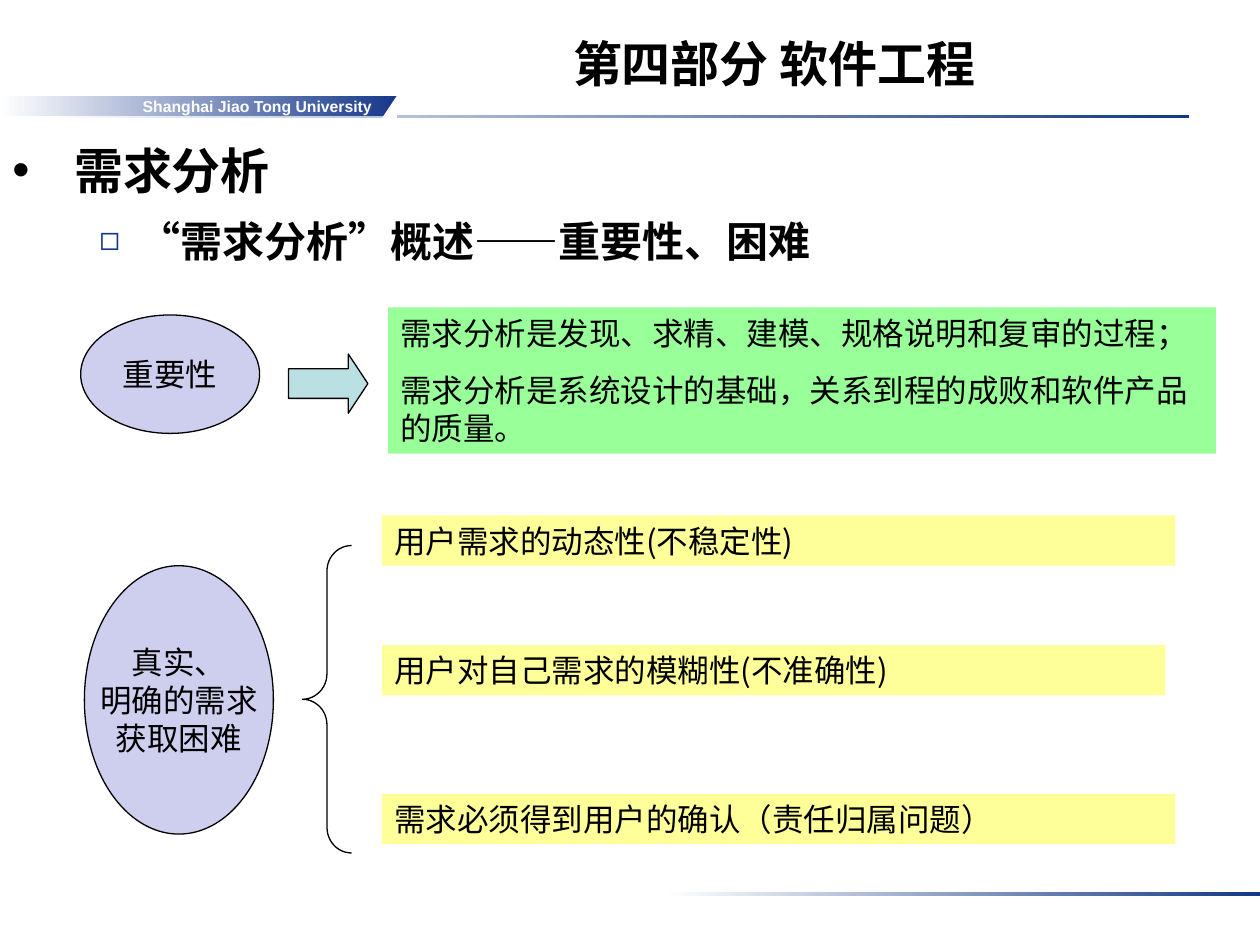
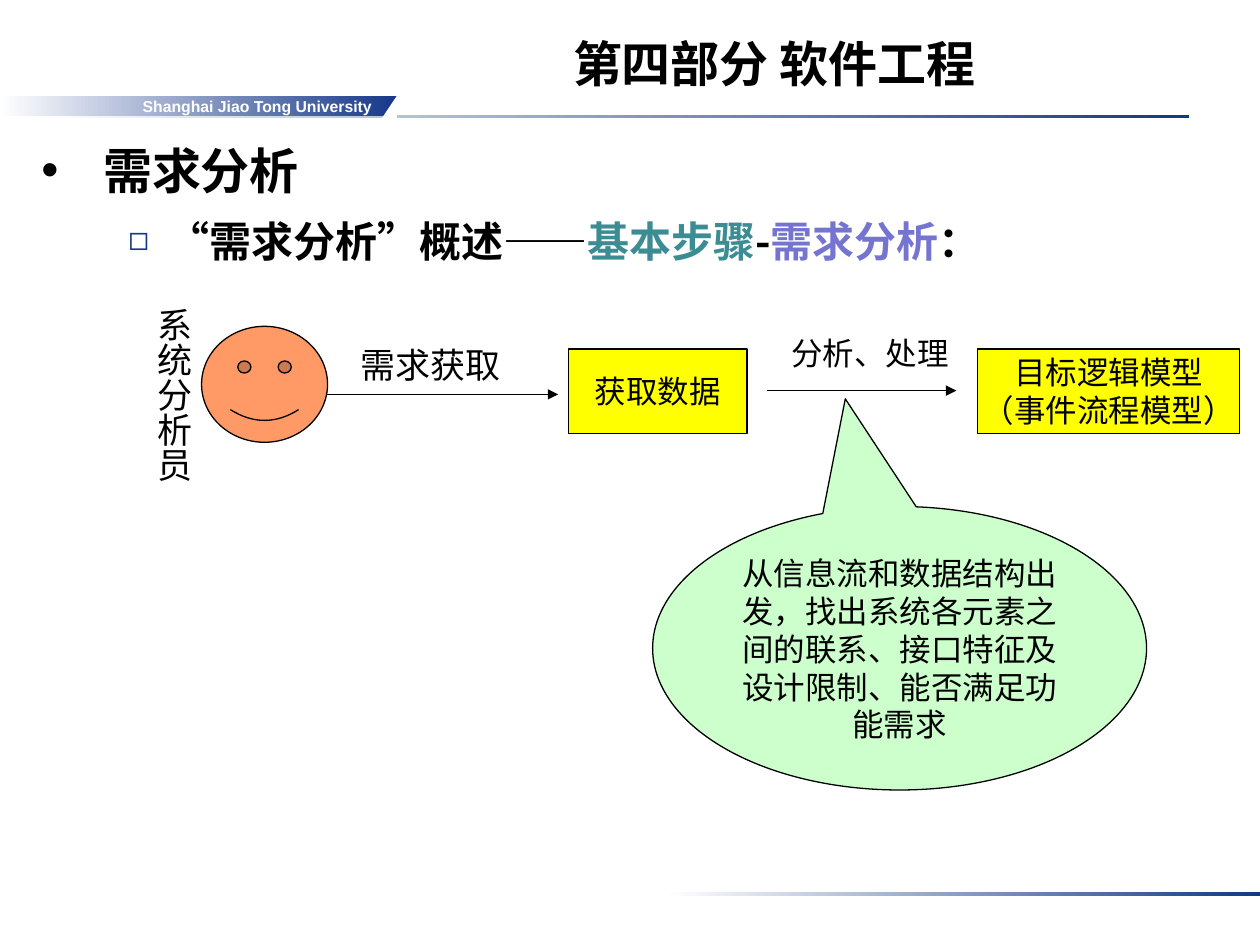
import collections

import pptx
import pptx.dml.color
import pptx.enum.shapes
import pptx.enum.text
import pptx.oxml
import pptx.oxml.ns
import pptx.util

SHAPE = pptx.enum.shapes.MSO_SHAPE
ALIGN = pptx.enum.text.PP_ALIGN
ANCHOR = pptx.enum.text.MSO_ANCHOR
Box = collections.namedtuple("Box", "left top width height")

COLUMNS, ROWS = 100, 75
SLIDE_WIDTH, SLIDE_HEIGHT = pptx.util.Inches(10), pptx.util.Inches(7.5)
BLACK, WHITE, NAVY, ROYAL = "000000", "FFFFFF", "133984", "16388A"
LAVENDER, GREEN, MINT = "CECEEF", "99FF99", "CCFFCC"
YELLOW, PALE_YELLOW, ORANGE, AQUA = "FFFF00", "FFFF99", "FF9966", "BBE0E3"
TEAL, VIOLET = "3C8C93", "7575D1"
LATIN, CHINESE = "Arial", "Noto Sans CJK SC"
LINE_HEIGHT = 1.2


def color(value):
    """Turn a hex string into a colour."""
    return pptx.dml.color.RGBColor.from_string(value)


def across(columns):
    """Convert grid columns to a length."""
    return round(columns * SLIDE_WIDTH / COLUMNS)


def down(rows):
    """Convert grid rows to a length."""
    return round(rows * SLIDE_HEIGHT / ROWS)


def part(region, left, top, width, height):
    """Return a box placed relative to a region."""
    return Box(region.left + left, region.top + top, width, height)


def place(box):
    """Convert a grid box to slide lengths."""
    return across(box.left), down(box.top), across(box.width), down(box.height)


def add_child(parent, tag, **attributes):
    """Append a drawing element with its attributes."""
    child = pptx.oxml.parse_xml(f"<a:{tag} {pptx.oxml.ns.nsdecls('a')}/>")
    for name, value in attributes.items():
        child.set(name, str(value))
    parent.append(child)
    return child


def set_bullet(para, symbol, hue, share, margin, indent):
    """Give a paragraph a hanging bullet."""
    props = para._p.get_or_add_pPr()
    props.set("marL", str(across(margin)))
    props.set("indent", str(-across(indent)))
    add_child(add_child(props, "buClr"), "srgbClr", val=hue)
    add_child(props, "buSzPct", val=share * 1000)
    add_child(props, "buFont", typeface=LATIN)
    add_child(props, "buChar", char=symbol)


def write(frame, text, size=18, font=LATIN, hue=BLACK, bold=False,
          align=ALIGN.LEFT, before=0, spacing=LINE_HEIGHT, bullet=None):
    """Add a paragraph given as a string or as pairs of text and colour."""
    used = frame.paragraphs[0].runs
    para = frame.add_paragraph() if used else frame.paragraphs[0]
    if bullet:
        set_bullet(para, *bullet)
    para.alignment = align
    para.line_spacing = pptx.util.Pt(round(size * spacing, 1))
    para.space_before = pptx.util.Pt(before if used else 0)
    for words, tint in [(text, hue)] if isinstance(text, str) else text:
        span = para.add_run()
        span.text = words
        span.font.name, span.font.size = font, pptx.util.Pt(size)
        span.font.bold, span.font.color.rgb = bold, color(tint)
        add_child(span._r.get_or_add_rPr(), "ea", typeface=CHINESE)


def set_frame(frame, anchor=ANCHOR.TOP, wrap=True, sides=1, ends=0.5):
    """Set the anchor, wrapping and insets of a text frame."""
    frame.word_wrap, frame.vertical_anchor = wrap, anchor
    frame.margin_left = frame.margin_right = across(sides)
    frame.margin_top = frame.margin_bottom = down(ends)
    return frame


def finish(shape, fill=None, outline=None):
    """Set the fill and outline of a shape and drop its shadow."""
    shape.shadow.inherit = False
    if fill:
        shape.fill.solid()
        shape.fill.fore_color.rgb = color(fill)
    else:
        shape.fill.background()
    if outline:
        shape.line.color.rgb = color(outline)
        shape.line.width = pptx.util.Pt(0.75)
    else:
        shape.line.fill.background()
    return shape


def add_shape(page, kind, box, fill=None, outline=BLACK, adjust=()):
    """Add a preset shape with its adjustments."""
    shape = page.shapes.add_shape(kind, *place(box))
    for index, value in enumerate(adjust):
        shape.adjustments[index] = value
    return finish(shape, fill, outline)


def add_label(page, kind, box, lines, fill):
    """Add an outlined shape with centred lines of text."""
    frame = set_frame(add_shape(page, kind, box, fill).text_frame,
                      ANCHOR.MIDDLE, wrap=False)
    for line in lines:
        write(frame, line, align=ALIGN.CENTER)


def add_panel(page, box, lines, fill, font=LATIN):
    """Add a plain coloured panel of paragraphs."""
    panel = add_shape(page, SHAPE.RECTANGLE, box, fill, outline=None)
    frame = set_frame(panel.text_frame)
    for line in lines:
        write(frame, line, font=font, before=11.2)


def add_text(page, box, text, **style):
    """Add a text box with one paragraph."""
    frame = set_frame(page.shapes.add_textbox(*place(box)).text_frame)
    write(frame, text, **style)
    return frame


def add_arrow(page, left, top, length):
    """Add a horizontal arrow pointing right."""
    arrow = page.shapes.add_connector(
        pptx.enum.shapes.MSO_CONNECTOR.STRAIGHT,
        across(left), down(top), across(left + length), down(top))
    arrow.line.color.rgb = color(BLACK)
    arrow.line.width = pptx.util.Pt(0.75)
    add_child(arrow.line._get_or_add_ln(), "tailEnd", type="triangle")
    add_child(arrow._element.spPr, "effectLst")


def add_fade(page, box, hue):
    """Add a bar that fades in from white."""
    bar = add_shape(page, SHAPE.RECTANGLE, box, WHITE, outline=None)
    bar.fill.gradient()
    bar.fill.gradient_angle = 0
    for stop, tint, position in zip(bar.fill.gradient_stops, (WHITE, hue), (0, 1)):
        stop.color.rgb, stop.position = color(tint), position
    return bar


def add_banner(page, box):
    """Add the university banner with its slanted end."""
    frame = set_frame(add_fade(page, box, ROYAL).text_frame,
                      ANCHOR.MIDDLE, sides=2, ends=0)
    write(frame, "Shanghai Jiao Tong University", size=9, hue=WHITE,
          bold=True, align=ALIGN.RIGHT)
    right, bottom = box.left + box.width, box.top + 1.8
    builder = page.shapes.build_freeform(across(right), down(box.top))
    builder.add_line_segments([(across(right), down(bottom)),
                               (across(right - 1.2), down(bottom))])
    finish(builder.convert_to_shape(), WHITE)


def add_page(deck, topic, left):
    """Add a slide with its rules, banner, title and topic heading."""
    page = deck.slides.add_slide(deck.slide_layouts[5])
    add_fade(page, Box(3.1, 9.1, 91.3, 0.3), NAVY)
    add_fade(page, Box(52.8, 70.8, 47.2, 0.3), NAVY)
    add_banner(page, Box(0, 7.6, 31.5, 1.6))
    title = page.shapes.title
    title.left, title.top, title.width, title.height = place(Box(25.9, 0, 71.1, 7.5))
    frame = set_frame(title.text_frame, ANCHOR.BOTTOM, ends=0.2)
    write(frame, "第四部分 软件工程", size=28, bold=True, align=ALIGN.CENTER)
    heading = add_text(page, Box(left, 10.2, 92.5, 12), "需求分析", size=28,
                       bold=True, spacing=1.32,
                       bullet=("•", BLACK, 100, 4.9, 4.9))
    write(heading, topic, size=24, font=CHINESE, bold=True, before=6,
          spacing=1.32, bullet=("◻", ROYAL, 80, 10, 3.1))
    return page


def add_importance(page, region):
    """Show why requirements analysis matters."""
    add_panel(page, part(region, 24.4, 0, 65.7, 11.6),
              ["需求分析是发现、求精、建模、规格说明和复审的过程；",
               "需求分析是系统设计的基础，关系到程的成败和软件产品的质量。"], GREEN)
    add_label(page, SHAPE.OVAL, part(region, 0, 0.6, 14.2, 9.4), ["重要性"], LAVENDER)
    add_shape(page, SHAPE.RIGHT_ARROW, part(region, 16.5, 3.7, 6.3, 4.7),
              AQUA, adjust=(0.5, 0.33))


def add_difficulties(page, region):
    """Show the difficulties beside a brace."""
    add_label(page, SHAPE.OVAL, part(region, 0, 4, 15, 21.3),
              ["真实、", "明确的需求", "获取困难"], LAVENDER)
    for top, width, reason in ((0, 63, "用户需求的动态性(不稳定性)"),
                               (10.3, 62.2, "用户对自己需求的模糊性(不准确性)"),
                               (22.1, 63, "需求必须得到用户的确认（责任归属问题）")):
        add_panel(page, part(region, 23.6, top, width, 4), [reason],
                  PALE_YELLOW, CHINESE)
    add_shape(page, SHAPE.LEFT_BRACE, part(region, 17.3, 2.4, 3.9, 24.4),
              adjust=(0.52, 0.5))


def add_analyst(page, region):
    """Show the analyst as a face with a vertical name."""
    add_shape(page, SHAPE.SMILEY_FACE, part(region, 10.4, 2.5, 10, 9.2),
              ORANGE, adjust=(0.09,))
    frame = add_text(page, part(region, 0, 0, 10.4, 16.7), "系统分析员", size=20)
    set_frame(frame, sides=0.5, ends=1)
    frame._txBody.bodyPr.set("vert", "eaVert")


def add_flow(page, region):
    """Show the steps from gathering to the logical model."""
    for left, width, lines in ((19.2, 14.2, ["获取数据"]),
                               (51.7, 20.8, ["目标逻辑模型", "（事件流程模型）"])):
        add_label(page, SHAPE.RECTANGLE, part(region, left, 1.7, width, 6.7),
                  lines, YELLOW)
    add_text(page, part(region, 1.7, 0.8, 15, 4.4), "需求获取", size=20)
    add_text(page, part(region, 35.9, 0, 15, 4), "分析、处理")
    add_arrow(page, region.left, region.top + 5.3, 18.4)
    add_arrow(page, region.left + 35, region.top + 5, 15)


def add_callout(page, box):
    """Explain the processing step in a callout."""
    callout = add_shape(page, SHAPE.OVAL_CALLOUT, box, MINT, adjust=(-0.11, -0.88))
    write(set_frame(callout.text_frame),
          "从信息流和数据结构出发，找出系统各元素之间的联系、接口特征及设计限制、能否满足功能需求",
          align=ALIGN.CENTER)


def main():
    """Build and save the deck."""
    deck = pptx.Presentation()
    deck.slide_width, deck.slide_height = SLIDE_WIDTH, SLIDE_HEIGHT
    page = add_page(deck, "“需求分析”概述——重要性、困难", left=0)
    add_importance(page, Box(6.4, 24.4, 90.1, 11.6))
    add_difficulties(page, Box(6.7, 40.9, 86.6, 26.8))
    page = add_page(deck, [("“需求分析”概述——", BLACK), ("基本步骤", TEAL),
                           ("-", BLACK), ("需求分析", VIOLET), ("：", BLACK)], left=2.3)
    add_flow(page, Box(25.9, 26, 72.5, 8.4))
    add_analyst(page, Box(5.6, 23.4, 20.4, 16.7))
    add_callout(page, Box(51.8, 40.2, 39.2, 22.5))
    deck.save("out.pptx")


if __name__ == "__main__":
    main()
